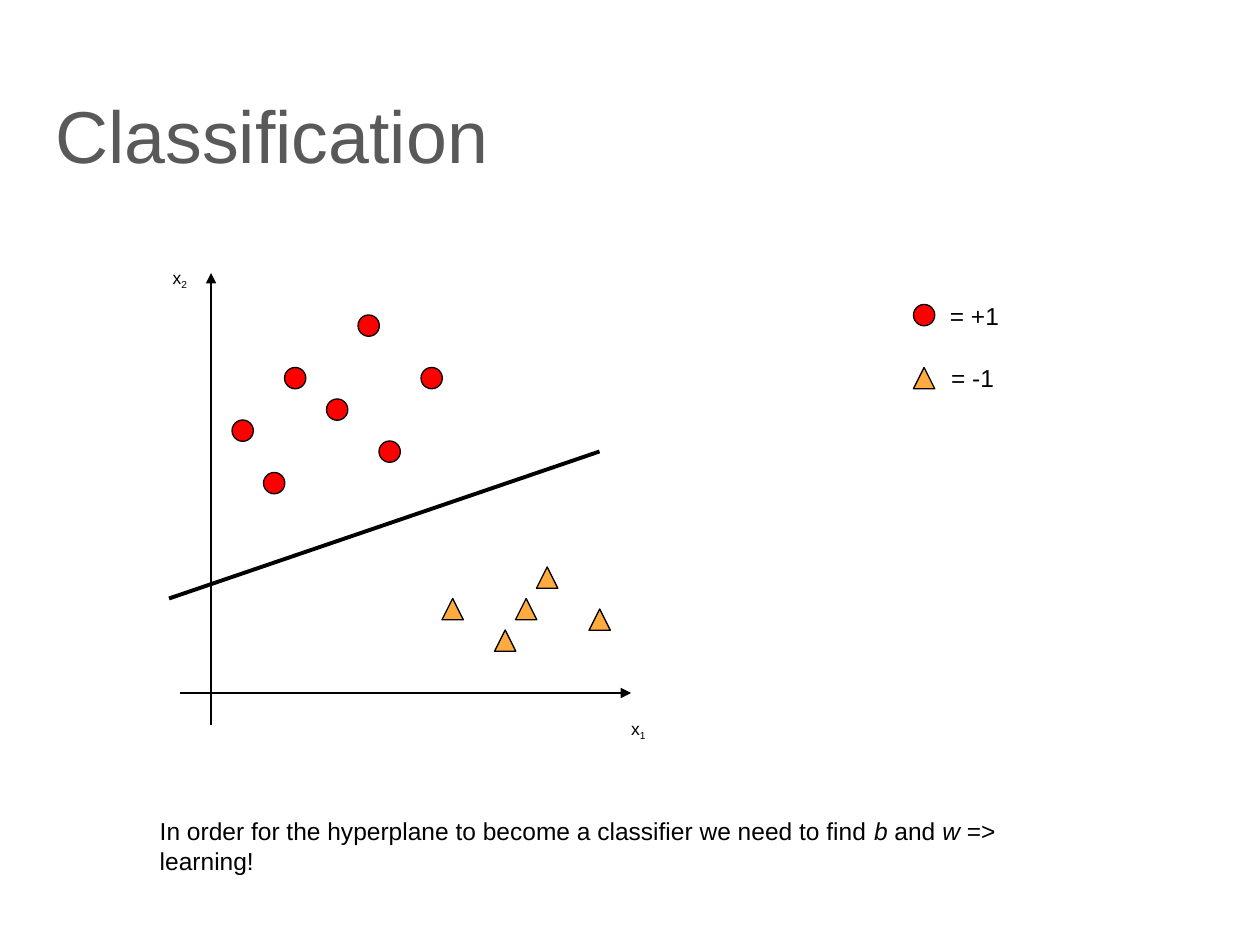
from pptx import Presentation
from pptx.dml.color import RGBColor
from pptx.enum.shapes import MSO_CONNECTOR as Link, MSO_SHAPE as Kind
from pptx.enum.text import MSO_ANCHOR as Anchor
from pptx.oxml.ns import qn
from pptx.util import Pt
from lxml.etree import SubElement

BLACK, GREY = "000000", "595959"
SIZE = 12.2  # width and height of a marker

# Marker kind, fill, left-top corners; the last corner is the legend key
CLASSES = [
    (Kind.ISOSCELES_TRIANGLE, "FFAB40",
     [(252.6, 342), (306.6, 324), (282.6, 360), (294.6, 342), (336.6, 348),
      (522, 210)]),
    (Kind.OVAL, "FF0000",
     [(204.6, 180), (132.6, 240), (162.6, 210), (150.6, 270), (186.6, 228),
      (216.6, 252), (240.6, 210), (522, 174)]),
]

# Start, end, width, arrowhead at start
LINES = [
    ((120.6, 156), (120.6, 414), 0.75, True),
    ((360.6, 396), (102.6, 396), 0.75, True),
    ((96.6, 342), (342.6, 258), 2.25, False),
]

# Box, size, colour, wrap, runs as (text, style)
TEXTS = [
    ((24.5, 46.8, 671, 59.8), 42, GREY, True, [("Classification", "")]),
    ((353.5, 406.8, 23, 19.4), 10, BLACK, False, [("x", ""), ("1", "sub")]),
    ((91.5, 149, 23, 19.4), 10, BLACK, False, [("x", ""), ("2", "sub")]),
    ((535.7, 168.5, 42.5, 23.8), 14, BLACK, False, [("= +1", "")]),
    ((536.4, 203.8, 38.9, 23.8), 14, BLACK, False, [("= -1", "")]),
    ((84.2, 463, 548.6, 23.8), 14, BLACK, True,
     [("In order for the hyperplane to become a classifier we need to find ", ""),
      ("b", "italic"), (" and ", ""), ("w", "italic"), (" => learning!", "")]),
]


def color(code):
    return RGBColor.from_string(code)


def pts(values):
    return [Pt(v) for v in values]


def add_text(slide, box, size, code, wrap, runs):
    frame = slide.shapes.add_textbox(*pts(box)).text_frame
    frame.word_wrap = wrap
    frame.vertical_anchor = Anchor.MIDDLE if size > 40 else Anchor.TOP
    para = frame.paragraphs[0]
    para.font.name = "Arial"
    para.font.size = Pt(size)
    para.font.color.rgb = color(code)
    for text, style in runs:
        run = para.add_run()
        run.text = text
        if style == "italic":
            run.font.italic = True
        elif style == "sub":
            run.font._element.set("baseline", "-25000")


def add_line(slide, start, end, width, arrow):
    link = slide.shapes.add_connector(Link.STRAIGHT, *pts(start + end))
    link.line.color.rgb = color(BLACK)
    link.line.width = Pt(width)
    if arrow:
        SubElement(link.line._get_or_add_ln(), qn("a:headEnd"), type="triangle")
    SubElement(link._element.spPr, qn("a:effectLst"))


def add_mark(slide, kind, fill, corner):
    mark = slide.shapes.add_shape(kind, *pts(corner + (SIZE, SIZE)))
    mark.shadow.inherit = False
    mark.fill.solid()
    mark.fill.fore_color.rgb = color(fill)
    mark.line.color.rgb = color(BLACK)
    mark.line.width = Pt(0.75)


def main():
    deck = Presentation()
    deck.slide_width, deck.slide_height = Pt(720), Pt(540)
    slide = deck.slides.add_slide(deck.slide_layouts[6])
    for text in TEXTS:
        add_text(slide, *text)
    for line in LINES:
        add_line(slide, *line)
    for kind, fill, corners in CLASSES:
        for corner in corners:
            add_mark(slide, kind, fill, corner)
    deck.save("out.pptx")


if __name__ == "__main__":
    main()
